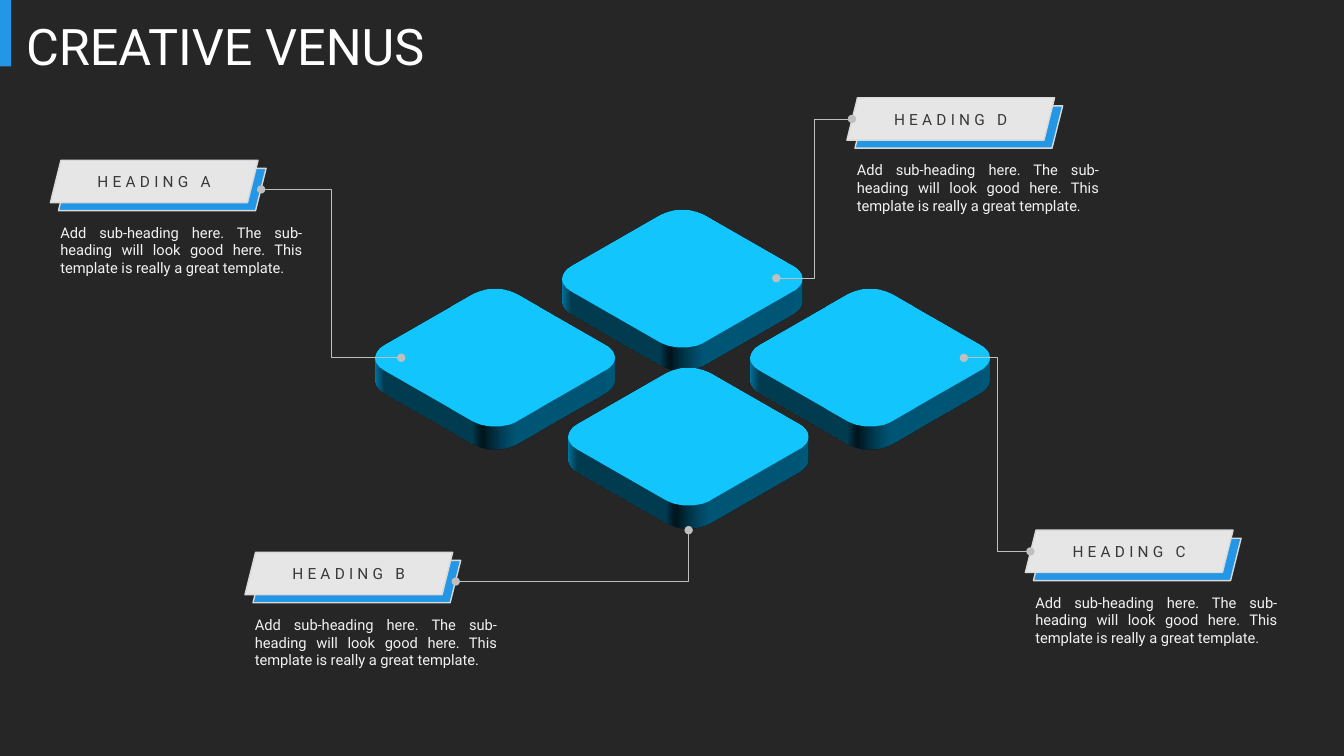
from lxml import etree
from pptx import Presentation
from pptx.dml.color import RGBColor
from pptx.enum import shapes, text
from pptx.oxml import parse_xml
from pptx.oxml.ns import nsdecls, qn
from pptx.util import Inches, Pt

BACKGROUND = RGBColor(0x26, 0x26, 0x26)
BLUE = RGBColor(0x23, 0x96, 0xE5)
TILE = RGBColor(0x00, 0xB0, 0xF0)
PLATE = RGBColor(0xE7, 0xE6, 0xE6)
PLATE_EDGE = RGBColor(0xD9, 0xD9, 0xD9)
LINE = RGBColor(0xBF, 0xBF, 0xBF)
DARK = RGBColor(0x3B, 0x38, 0x38)
LIGHT = RGBColor(0xF2, 0xF2, 0xF2)
WHITE = RGBColor(0xFF, 0xFF, 0xFF)
CAPTION = ("Add sub-heading here. The sub-heading will look good here. "
           "This template is really a great template.")
TILE_DEPTH = Pt(20)


def paint(sp, fill, edge=None):
    sp.shadow.inherit = False
    sp.fill.solid()
    sp.fill.fore_color.rgb = fill
    if edge is None:
        sp.line.fill.background()
    else:
        sp.line.color.rgb = edge
        sp.line.width = Pt(1)


def write(sp, words, size, color, align):
    tf = sp.text_frame
    tf.word_wrap = True
    p = tf.paragraphs[0]
    p.alignment = align
    r = p.add_run()
    r.text = words
    r.font.name = "Roboto"
    r.font.size = Pt(size)
    r.font.color.rgb = color
    return r


prs = Presentation()
prs.slide_width, prs.slide_height = Inches(13.33), Inches(7.5)
s = prs.slides.add_slide(prs.slide_layouts[6])
s.background.fill.solid()
s.background.fill.fore_color.rgb = BACKGROUND

# Title
bar = s.shapes.add_shape(shapes.MSO_SHAPE.RECTANGLE, 0, 0, Inches(0.11), Inches(0.66))
paint(bar, BLUE)
title = s.shapes.add_textbox(Inches(0.16), Inches(0.1), Inches(4.87), Inches(0.71))
write(title, "CREATIVE VENUS", 36, WHITE, text.PP_ALIGN.LEFT)

# Isometric tiles
for left, top in [(3.98, 2.62), (5.84, 1.83), (7.7, 2.62), (5.9, 3.4)]:
    tile = s.shapes.add_shape(
        shapes.MSO_SHAPE.ROUNDED_RECTANGLE, Inches(left), Inches(top),
        Inches(1.86), Inches(1.86))
    paint(tile, TILE)
    spPr = tile._element.spPr
    spPr.append(parse_xml(
        f'<a:scene3d {nsdecls("a")}><a:camera prst="isometricTopUp"/>'
        '<a:lightRig rig="threePt" dir="t"/></a:scene3d>'))
    spPr.append(parse_xml(f'<a:sp3d {nsdecls("a")} extrusionH="{TILE_DEPTH}"/>'))

# Headings: letter, left, top, connector start and end
headings = [
    ("A", 0.5, 1.59, (3.98, 3.55), (2.59, 1.88)),
    ("B", 2.43, 5.48, (4.52, 5.77), (6.83, 5.26)),
    ("C", 10.17, 5.26, (9.56, 3.55), (10.22, 5.47)),
    ("D", 8.4, 0.97, (8.45, 1.18), (7.7, 2.76)),
]
for letter, left, top, start, end in headings:
    for offset, fill in [(0.08, BLUE), (0, PLATE)]:
        plate = s.shapes.add_shape(
            shapes.MSO_SHAPE.PARALLELOGRAM, Inches(left + offset), Inches(top + offset),
            Inches(2.06), Inches(0.42))
        paint(plate, fill, PLATE_EDGE)
    plate.text_frame.vertical_anchor = text.MSO_ANCHOR.MIDDLE
    r = write(plate, f"HEADING {letter}", 11, DARK, text.PP_ALIGN.CENTER)
    r.font._element.set("spc", "300")

    caption = s.shapes.add_textbox(Inches(left), Inches(top + 0.58), Inches(2.6), Inches(0.63))
    write(caption, CAPTION, 10.5, LIGHT, text.PP_ALIGN.JUSTIFY)

    link = s.shapes.add_connector(
        shapes.MSO_CONNECTOR.ELBOW, *(Inches(n) for n in start + end))
    link.line.color.rgb = LINE
    link.line.width = Pt(0.5)
    ln = link.line._get_or_add_ln()
    for tip in ("a:headEnd", "a:tailEnd"):
        etree.SubElement(ln, qn(tip), type="oval")
    spPr = link._element.spPr
    etree.SubElement(spPr, qn("a:effectLst"))
    if letter == "B":  # a single bend
        spPr.find(qn("a:prstGeom")).set("prst", "bentConnector2")

prs.save("out.pptx")
